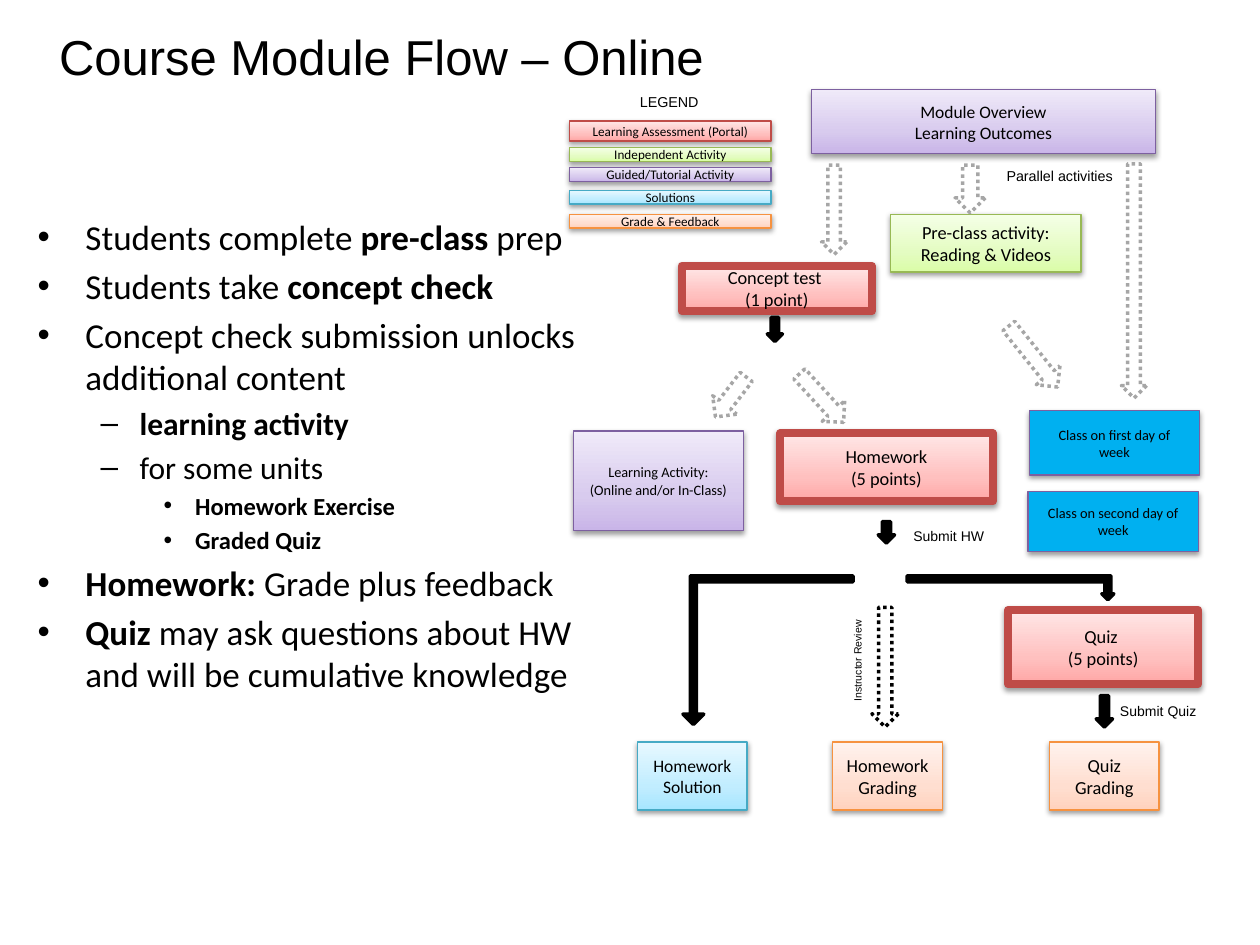
from dataclasses import dataclass

from lxml import etree
from pptx import Presentation
from pptx.dml.color import RGBColor
from pptx.enum.dml import MSO_LINE
from pptx.enum.shapes import MSO_SHAPE
from pptx.enum.text import MSO_ANCHOR, MSO_AUTO_SIZE, PP_ALIGN
from pptx.oxml.ns import qn
from pptx.util import Inches, Pt

RECTANGLE = MSO_SHAPE.RECTANGLE
UP_ARROW = MSO_SHAPE.UP_ARROW
BENT_ARROW = MSO_SHAPE.BENT_UP_ARROW
DOTTED = MSO_LINE.ROUND_DOT
MIDDLE = MSO_ANCHOR.MIDDLE
CENTER = PP_ALIGN.CENTER
FIT_SHAPE = MSO_AUTO_SIZE.SHAPE_TO_FIT_TEXT

SLIDE_WIDTH, SLIDE_HEIGHT = Inches(10), Inches(7.5)
COLUMN, ROW = SLIDE_WIDTH / 100, SLIDE_HEIGHT / 75
BLACK, GRAY = "000000", "A6A6A6"


@dataclass(frozen=True)
class Area:
    """A place on the grid of 100 columns and 75 rows."""
    column: float
    row: float
    columns: float
    rows: float

    def lengths(self) -> tuple:
        return (round(self.column * COLUMN), round(self.row * ROW),
                round(self.columns * COLUMN), round(self.rows * ROW))


@dataclass(frozen=True)
class Theme:
    """Fill colours from bottom to top, and the outline."""
    fills: tuple
    line: str


@dataclass(frozen=True)
class Box:
    area: Area
    theme: Theme
    lines: tuple
    size: float = 10.5
    border: float = 0.75
    margins: tuple = (0.1, 0.05)


@dataclass(frozen=True)
class Arrow:
    area: Area
    rotation: float = 180
    color: str = BLACK
    solid: bool = False
    preset: int = UP_ARROW
    flipped: bool = False
    adjustments: tuple = ()


@dataclass(frozen=True)
class Label:
    area: Area
    text: str
    size: float = 8
    rotation: float = 0


@dataclass(frozen=True)
class Level:
    size: float
    left: float
    hanging: float
    bullet: str


ASSESSMENT = Theme(("FFA6A5", "FFC0BF", "FFE7E7"), "BF4C48")
INDEPENDENT = Theme(("DAFDA7", "E4FCC2", "F5FFE7"), "98B955")
GUIDED = Theme(("C9B5E8", "D8CBEE", "F0EAF9"), "7D60A0")
SOLUTION = Theme(("A7E6FF", "C1EDFF", "E7F8FF"), "46AAC5")
GRADE = Theme(("FFD2BD", "FFDED0", "FFF2ED"), "F69240")
CLASS_DAY = Theme(("00B0F0",), "7D60A0")

BOXES = [
    Box(Area(70.7, 17, 15.1, 4.6), INDEPENDENT, ("Pre-class activity:", "Reading & Videos")),
    Box(Area(54.1, 21.1, 15.1, 3.6), ASSESSMENT, ("Concept test ", "(1 point)"),
        border=4.5, margins=(0.07, 0.04)),
    Box(Area(61.9, 34.4, 16.9, 5.4), ASSESSMENT, ("Homework", "(5 points)"),
        border=4.5, margins=(0.07, 0.04)),
    Box(Area(45.5, 34.2, 13.5, 7.9), GUIDED,
        ("Learning Activity:", "(Online and/or In-Class)"), 8.2),
    Box(Area(80, 48.4, 15.1, 5.9), ASSESSMENT, ("Quiz ", "(5 points)"), border=4.5),
    Box(Area(50.6, 58.9, 8.7, 5.4), SOLUTION, ("Homework Solution",), 10),
    Box(Area(66.1, 58.9, 8.7, 5.4), GRADE, ("Homework Grading",)),
    Box(Area(83.3, 58.9, 8.7, 5.4), GRADE, ("Quiz Grading",)),
    Box(Area(81.7, 32.6, 13.5, 5.1), CLASS_DAY, ("Class on first day of week",), 8.2),
    Box(Area(81.6, 39, 13.5, 4.8), CLASS_DAY, ("Class on second day of week",), 8.2),
    Box(Area(64.4, 7.1, 27.3, 5.1), GUIDED, ("Module Overview", "Learning Outcomes"), 10),
]
LEGEND = [  # row, rows, theme, text
    (9.6, 1.6, ASSESSMENT, "Learning Assessment (Portal)"),
    (11.7, 1.1, INDEPENDENT, "Independent Activity"),
    (13.3, 1.1, GUIDED, "Guided/Tutorial Activity"),
    (15.1, 1.1, SOLUTION, "Solutions"),
    (17, 1.1, GRADE, "Grade & Feedback"),
]
ARROWS = [
    Arrow(Area(72, 45.7, 16.4, 1.9), solid=True, preset=BENT_ARROW, flipped=True),
    Arrow(Area(54.2, 45.7, 13.5, 11.8), solid=True, preset=BENT_ARROW,
          adjustments=(0.04, 0.07, 0.07)),
    Arrow(Area(60.9, 25.2, 1.2, 1.9), solid=True),
    Arrow(Area(69.7, 41.4, 1.3, 1.7), solid=True),
    Arrow(Area(87, 55.2, 1.3, 2.5), solid=True),
    Arrow(Area(69.2, 48.2, 2.1, 9.5)),
    Arrow(Area(75.8, 13.1, 2.4, 3.8), color=GRAY),
    Arrow(Area(89, 13, 2, 18.6), color=GRAY),
    Arrow(Area(65.2, 13.1, 2, 7.1), color=GRAY),
    Arrow(Area(64, 29, 2.4, 5.2), 137.5, GRAY),
    Arrow(Area(56.8, 29.5, 2.4, 4), 217.5, GRAY),
    Arrow(Area(80.8, 25.2, 2.4, 6.2), 141.3, GRAY),
]
LEGEND_TITLE = Label(Area(49.8, 6.9, 7.4, 2.7), "LEGEND", 8.2)
LABELS = [
    Label(Area(3.7, 1.6, 54.9, 5.7), "Course Module Flow – Online", 28),
    Label(Area(71.5, 41.4, 7.7, 2.4), "Submit HW"),
    Label(Area(87.9, 55.3, 8.2, 2.4), "Submit Quiz"),
    Label(Area(63.8, 51.4, 8.5, 2), "Instructor Review", 6, 270),
    Label(Area(78.9, 12.8, 10.7, 2.4), "Parallel activities", 8.2),
]
LEVELS = [Level(20, 0.38, 0.38, "•"), Level(18, 0.81, 0.31, "–"), Level(14, 1.25, 0.25, "•")]
NOTES_AREA = Area(2, 16.6, 45.5, 52.9)
NOTES = [  # level, then runs as text and bold
    (0, [("Students complete ", False), ("pre-class", True), (" prep", False)]),
    (0, [("Students take ", False), ("concept check", True)]),
    (0, [("Concept check submission unlocks additional content", False)]),
    (1, [("learning activity", True)]),
    (1, [("for some units", False)]),
    (2, [("Homework Exercise", True)]),
    (2, [("Graded Quiz", True)]),
    (0, [("Homework: ", True), ("Grade plus feedback", False)]),
    (0, [("Quiz", True),
         (" may ask questions about HW and will be cumulative knowledge", False)]),
]


def rgb(color: str) -> RGBColor:
    return RGBColor.from_string(color)


def add_text(paragraph, text: str, *, size: float, font: str = "Calibri",
             bold: bool = False, color: str = BLACK) -> None:
    run = paragraph.add_run()
    run.text = text
    run.font.size, run.font.name, run.font.bold = Pt(size), font, bold
    run.font.color.rgb = rgb(color)


def next_paragraph(frame, index: int):
    return frame.add_paragraph() if index else frame.paragraphs[0]


def paint(shape, theme: Theme) -> None:
    if len(theme.fills) == 1:
        shape.fill.solid()
        shape.fill.fore_color.rgb = rgb(theme.fills[0])
        return
    shape.fill.gradient()
    shape.fill.gradient_angle = 90
    stops = shape.element.spPr.find(".//" + qn("a:gsLst"))
    for stop in list(stops):
        stops.remove(stop)
    for position, color in zip((0, 35, 100), theme.fills):
        stop = etree.SubElement(stops, qn("a:gs"), pos=str(position * 1000))
        etree.SubElement(stop, qn("a:srgbClr"), val=color)


def cast_shadow(shape) -> None:
    shape.shadow.inherit = False
    effects = shape.element.spPr.find(qn("a:effectLst"))
    shadow = etree.SubElement(effects, qn("a:outerShdw"), blurRad=str(Pt(3.1)),
                              dist=str(Pt(1.6)), dir="5400000", rotWithShape="0")
    color = etree.SubElement(shadow, qn("a:srgbClr"), val=BLACK)
    etree.SubElement(color, qn("a:alpha"), val="38000")


def draw_box(shapes, box: Box) -> None:
    shape = shapes.add_shape(RECTANGLE, *box.area.lengths())
    paint(shape, box.theme)
    shape.line.color.rgb, shape.line.width = rgb(box.theme.line), Pt(box.border)
    cast_shadow(shape)
    frame = shape.text_frame
    frame.word_wrap, frame.vertical_anchor = True, MIDDLE
    frame.margin_left = frame.margin_right = Inches(box.margins[0])
    frame.margin_top = frame.margin_bottom = Inches(box.margins[1])
    for index, line in enumerate(box.lines):
        paragraph = next_paragraph(frame, index)
        paragraph.alignment = CENTER
        add_text(paragraph, line, size=box.size)


def draw_arrow(shapes, arrow: Arrow) -> None:
    shape = shapes.add_shape(arrow.preset, *arrow.area.lengths())
    shape.shadow.inherit = False
    shape.rotation = arrow.rotation
    if arrow.flipped:
        shape.element.spPr.find(qn("a:xfrm")).set("flipH", "1")
    for index, value in enumerate(arrow.adjustments):
        shape.adjustments[index] = value
    shape.line.color.rgb, shape.line.width = rgb(arrow.color), Pt(2)
    if arrow.solid:
        shape.fill.solid()
        shape.fill.fore_color.rgb = rgb(arrow.color)
    else:
        shape.fill.background()
        shape.line.dash_style = DOTTED


def draw_label(shapes, label: Label) -> None:
    shape = shapes.add_textbox(*label.area.lengths())
    shape.rotation = label.rotation
    shape.text_frame.word_wrap = False
    shape.text_frame.auto_size = FIT_SHAPE
    add_text(shape.text_frame.paragraphs[0], label.text, size=label.size, font="Arial")


def draw_notes(shapes) -> None:
    frame = shapes.add_textbox(*NOTES_AREA.lengths()).text_frame
    frame.word_wrap = True
    for index, (depth, runs) in enumerate(NOTES):
        level = LEVELS[depth]
        paragraph = next_paragraph(frame, index)
        paragraph.level = depth
        properties = paragraph._p.get_or_add_pPr()
        properties.set("marL", str(Inches(level.left)))
        properties.set("indent", str(-Inches(level.hanging)))
        etree.SubElement(properties, qn("a:buFont"), typeface="Arial")
        etree.SubElement(properties, qn("a:buChar"), char=level.bullet)
        if index:
            paragraph.space_before = Pt(level.size * 0.2)
        for text, bold in runs:
            add_text(paragraph, text, size=level.size, bold=bold)


def main() -> None:
    presentation = Presentation()
    presentation.slide_width, presentation.slide_height = SLIDE_WIDTH, SLIDE_HEIGHT
    shapes = presentation.slides.add_slide(presentation.slide_layouts[6]).shapes
    for box in BOXES:
        draw_box(shapes, box)
    for arrow in ARROWS:
        draw_arrow(shapes, arrow)
    legend = shapes.add_group_shape().shapes
    for row, rows, theme, text in LEGEND:
        draw_box(legend, Box(Area(45.2, row, 16, rows), theme, (text,), 7.5))
    draw_label(legend, LEGEND_TITLE)
    draw_notes(shapes)
    for label in LABELS:
        draw_label(shapes, label)
    presentation.save("out.pptx")


if __name__ == "__main__":
    main()
